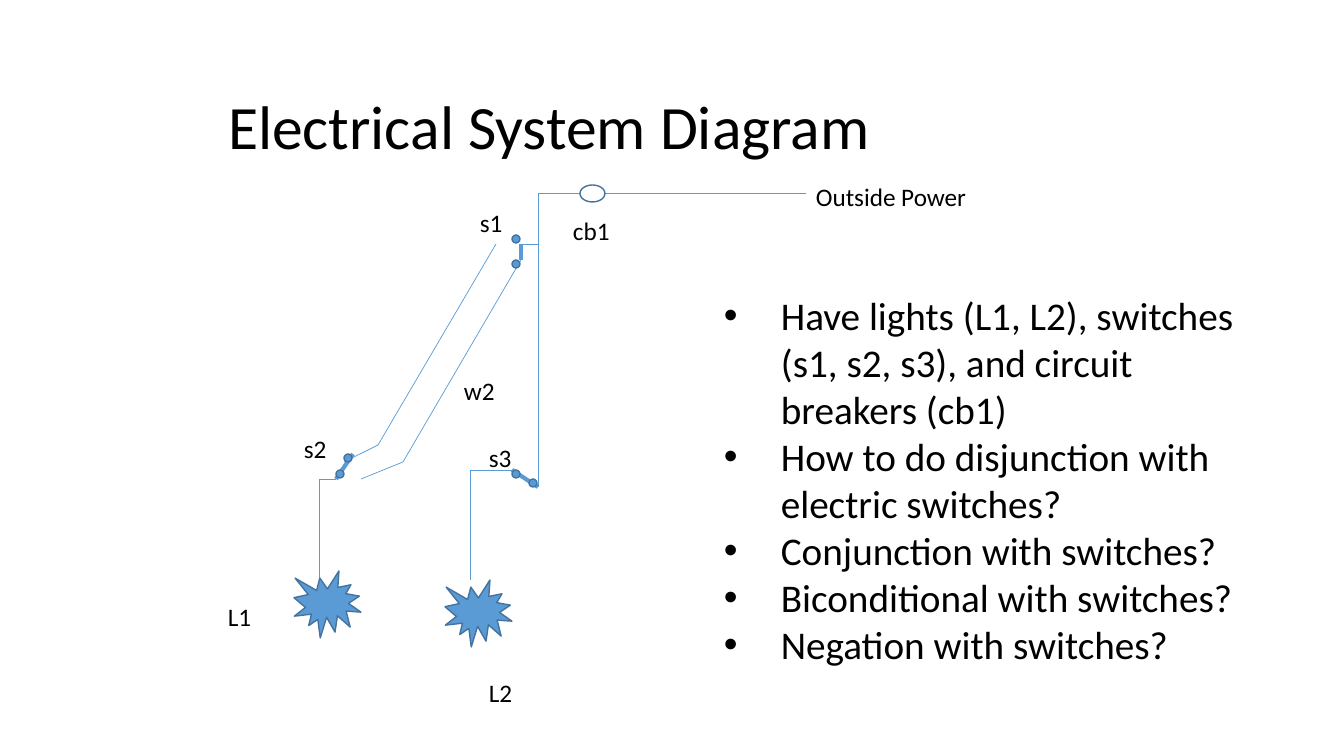
"""Build the electrical system diagram slide."""
from lxml.etree import SubElement
from pptx import Presentation
from pptx.dml.color import RGBColor
from pptx.enum.shapes import MSO_CONNECTOR as Line, MSO_SHAPE as Shape
from pptx.enum.text import MSO_ANCHOR as Anchor, MSO_AUTO_SIZE as AutoSize, PP_ALIGN as Align
from pptx.oxml.ns import qn
from pptx.util import Emu, Pt

SCALE = 12192000 / 1344
BLACK = RGBColor(0x00, 0x00, 0x00)
BLUE = RGBColor(0x5B, 0x9B, 0xD5)
DARK_BLUE = RGBColor(0x43, 0x73, 0x9E)


def emu(*pixels):
    return [Emu(round(pixel * SCALE)) for pixel in pixels]


def write(box, text, size):
    frame = box.text_frame
    frame.word_wrap = True
    frame.text = text
    for para in frame.paragraphs:
        para.alignment = Align.LEFT
        for span in para.runs:
            span.font.name = "Calibri"
            span.font.size = Pt(size)
            span.font.color.rgb = BLACK


deck = Presentation()
deck.slide_width, deck.slide_height = emu(1344, 756)
page = deck.slides.add_slide(deck.slide_layouts[5])

title = page.shapes.title
title.left, title.top, title.width, title.height = emu(218, 67, 924, 126)
write(title, "Electrical System Diagram", 44)
title.text_frame.auto_size = AutoSize.NONE
title.text_frame.vertical_anchor = Anchor.MIDDLE
title.text_frame.paragraphs[0].line_spacing = 0.9

wires = [
    (319, 479, 319, 580),
    (470, 580, 470, 470),
    (319, 479, 336, 479),
    (470, 470, 512, 470),
    (538, 193, 580, 193),
    (605, 193, 806, 193),
    (538, 193, 538, 487),
    (378, 445, 496, 244),
    (403, 462, 521, 260),
    (403, 462, 361, 479),
    (378, 445, 344, 462),
    (538, 244, 521, 244),
]
switch_arms = [
    (538, 487, 512, 470),
    (336, 479, 353, 454),
    (521, 244, 521, 260),
]
for ends, weight in [(wire, 0.5) for wire in wires] + [(arm, 3) for arm in switch_arms]:
    line = page.shapes.add_connector(Line.STRAIGHT, *emu(*ends))
    line.line.color.rgb = BLUE
    line.line.width = Pt(weight)
    SubElement(line._element.spPr, qn("a:effectLst"))

lights = [(294, 571), (445, 580)]
contacts = [(512, 470), (529, 479), (336, 470), (344, 454), (512, 260), (512, 235)]
parts = [(Shape.EXPLOSION1, left, top, 67, 67, True) for left, top in lights]
parts += [(Shape.OVAL, left, top, 8, 8, True) for left, top in contacts]
parts.append((Shape.OVAL, 580, 185, 25, 17, False))
for kind, left, top, width, height, filled in parts:
    part = page.shapes.add_shape(kind, *emu(left, top, width, height))
    part.shadow.inherit = False
    part.line.color.rgb = DARK_BLUE
    part.line.width = Pt(1)
    if filled:
        part.fill.solid()
        part.fill.fore_color.rgb = BLUE
    else:
        part.fill.background()

labels = [
    ("L1", 218, 596, 67),
    ("L2", 479, 672, 84),
    ("cb1", 563, 210, 92),
    ("Outside Power", 806, 176, 185),
    ("s1", 470, 202, 92),
    ("s2", 294, 428, 92),
    ("s3", 479, 437, 92),
    ("w2", 454, 370, 58),
]
for text, left, top, width in labels:
    label = page.shapes.add_textbox(*emu(left, top, width, 40))
    write(label, text, 18)
    label.text_frame.auto_size = AutoSize.SHAPE_TO_FIT_TEXT

questions = [
    "Have lights (L1, L2), switches (s1, s2, s3), and circuit breakers (cb1)",
    "How to do disjunction with electric switches?",
    "Conjunction with switches?",
    "Biconditional with switches?",
    "Negation with switches?",
]
box = page.shapes.add_textbox(*emu(714, 286, 547, 390))
write(box, "\n".join(questions), 28)
box.text_frame.auto_size = AutoSize.SHAPE_TO_FIT_TEXT
indent = emu(57)[0]
for para in box.text_frame.paragraphs:
    properties = para._p.get_or_add_pPr()
    properties.set("marL", str(indent))
    properties.set("indent", str(-indent))
    SubElement(properties, qn("a:buFont"), typeface="Arial")
    SubElement(properties, qn("a:buChar"), char="•")

deck.save("out.pptx")
